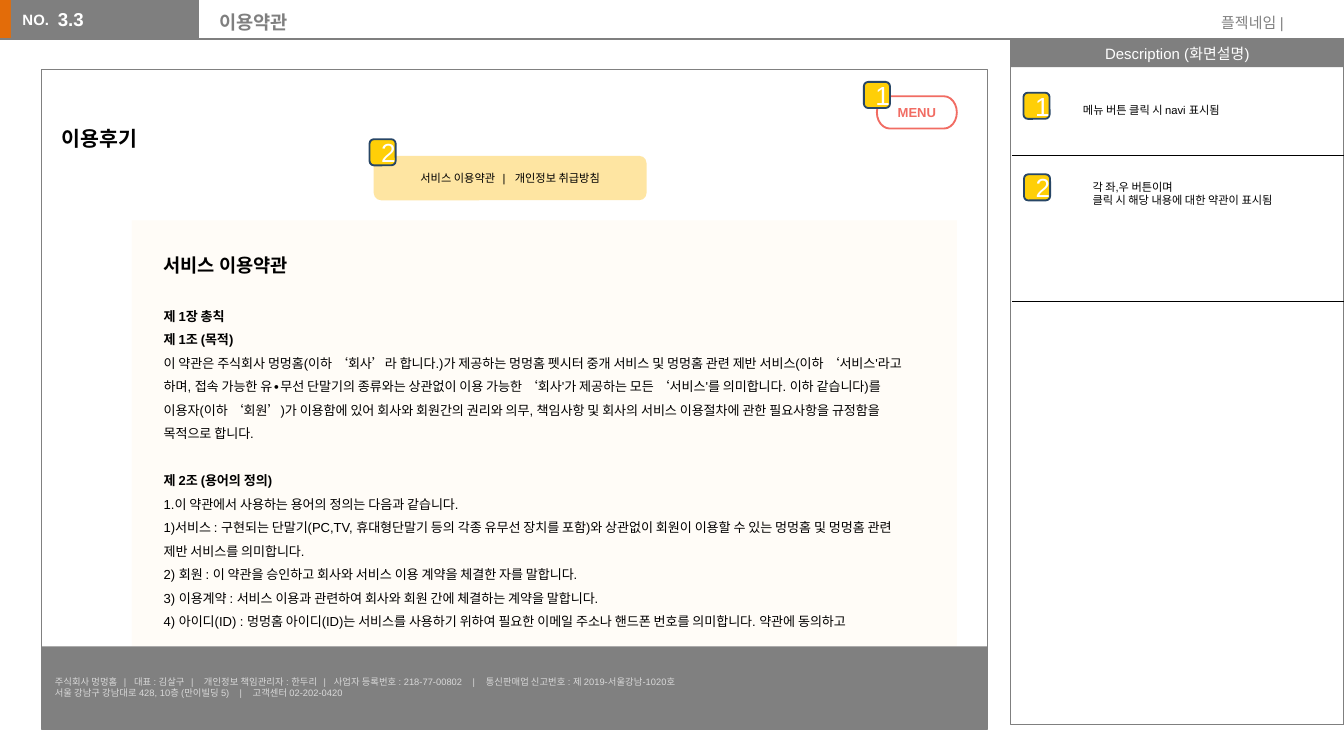
from pptx import Presentation
from pptx.dml.color import RGBColor
from pptx.enum.shapes import MSO_CONNECTOR, MSO_SHAPE
from pptx.enum.text import MSO_ANCHOR, MSO_AUTO_SIZE, PP_ALIGN
from pptx.oxml.ns import qn
from pptx.util import Pt
from lxml.etree import SubElement

GRAY, FRAME, WHITE, BLACK, CORAL = "7F7F7F", "808080", "FFFFFF", "000000", "F16C63"
LEFT, CENTER, RIGHT = PP_ALIGN.LEFT, PP_ALIGN.CENTER, PP_ALIGN.RIGHT
RECT, ROUND = MSO_SHAPE.RECTANGLE, MSO_SHAPE.ROUNDED_RECTANGLE


def color(value):
    return RGBColor.from_string(value)


def write(sp, lines, size, ink, bold=False, align=LEFT, anchor=MSO_ANCHOR.TOP,
          font="Arial", inset=(7.2, 3.6)):
    tf = sp.text_frame
    tf.word_wrap = True
    tf.auto_size = MSO_AUTO_SIZE.NONE
    tf.vertical_anchor = anchor
    tf.margin_left = tf.margin_right = Pt(inset[0])
    tf.margin_top = tf.margin_bottom = Pt(inset[1])
    for i, line in enumerate(lines):
        p = tf.paragraphs[0] if i == 0 else tf.add_paragraph()
        p.alignment = align
        r = p.add_run()
        r.text = line
        r.font.name, r.font.size, r.font.bold = font, Pt(size), bold
        r.font.color.rgb = color(ink)
    return tf


prs = Presentation()
prs.slide_width, prs.slide_height = Pt(720), Pt(405)
s = prs.slides.add_slide(prs.slide_layouts[5])

# Page title
title = s.shapes.title
title.left, title.top, title.width, title.height = Pt(110.2), Pt(-0.7), Pt(404), Pt(23)
write(title, ["이용약관"], 10, GRAY, True, font="Noto Sans CJK KR", inset=(7.2, 6.5))

# Panels, buttons and badges: preset, box, fill, line, line width, text format
badge = ("FFCF07", "274666", 1)
panels = [
    (RECT, (-0.7, 0, 8.6, 20.9), "E36C09", None, 0, None),
    (RECT, (5.8, 0, 100.8, 20.9), GRAY, None, 0, None),
    (RECT, (541.4, 20.9, 178.6, 15.1), GRAY, None, 0,
     ("Description (화면설명)", 8, WHITE, False)),
    (RECT, (541.4, 20.9, 178.6, 367.2), None, GRAY, 0.75, None),
    (RECT, (70.6, 118.1, 442.1, 228.2), "FFFCF7", None, 0, None),
    (RECT, (22.3, 346.3, 506.9, 43.9), FRAME, None, 0, None),
    (RECT, (22.3, 37.4, 506.9, 353.2), None, FRAME, 0.75, None),
    (MSO_SHAPE.FLOWCHART_TERMINATOR, (469.8, 51.6, 42.8, 17.3), WHITE, CORAL, 1,
     ("MENU", 7, CORAL, True)),
    (ROUND, (200.2, 83.5, 146.2, 23.8), "FEE5A2", None, 0,
     ("서비스 이용약관   |   개인정보 취급방침", 6, BLACK, False)),
]
for number, x, y in [("1", 462.8, 43.9), ("1", 548.3, 49.7),
                     ("2", 548.6, 93.4), ("2", 198, 74.6)]:
    panels.append((ROUND, (x, y, 14, 14), *badge, (number, 14, WHITE, False)))

for preset, box, fill, line, width, label in panels:
    sp = s.shapes.add_shape(preset, *map(Pt, box))
    sp.shadow.inherit = False
    if fill:
        sp.fill.solid()
        sp.fill.fore_color.rgb = color(fill)
    else:
        sp.fill.background()
    if line:
        sp.line.color.rgb = color(line)
        sp.line.width = Pt(width)
    else:
        sp.line.fill.background()
    if label:
        text, size, ink, bold = label
        write(sp, [text], size, ink, bold, CENTER, MSO_ANCHOR.MIDDLE)

# Header rule and description dividers
for x1, x2, y, ink, width in [(0, 551.5, 20.9, GRAY, 0.75),
                              (542.2, 720, 83.4, BLACK, 0.25),
                              (542.2, 720, 161.4, BLACK, 0.25)]:
    rule = s.shapes.add_connector(MSO_CONNECTOR.STRAIGHT, Pt(x1), Pt(y), Pt(x2), Pt(y))
    rule.line.color.rgb = color(ink)
    rule.line.width = Pt(width)
    SubElement(rule._element.spPr, qn("a:effectLst"))

# Short texts: box, lines, size, ink, further format
footer = [
    "주식회사 멍멍홈   |   대표 : 김살구   |    개인정보 책임관리자 : 한두리   |   "
    "사업자 등록번호 : 218-77-00802    |    통신판매업 신고번호 : 제 2019-서울강남-1020호",
    "서울 강남구 강남대로 428, 10층 (만이빌딩 5)    |    고객센터 02-202-0420",
]
notes = [
    ((5, 2.2, 30, 17.3), ["NO."], 8, WHITE, {"bold": True}),
    ((31, 0.7, 79.2, 22.3), ["3.3"], 10, WHITE, {"bold": True, "inset": (0, 3.6)}),
    ((643, 3.6, 51.8, 17.3), ["플젝네임 |"], 8, GRAY, {"align": RIGHT}),
    ((25.9, 64.1, 110.2, 20.9), ["이용후기"], 11, BLACK,
     {"bold": True, "font": "Noto Sans CJK KR"}),
    ((573.1, 51.8, 131.8, 14.4), ["메뉴 버튼 클릭 시 navi 표시됨"], 6, BLACK, {}),
    ((578.2, 92.9, 131.8, 21.6),
     ["각 좌,우 버튼이며", "클릭 시 해당 내용에 대한 약관이 표시됨"], 6, BLACK, {}),
    ((22.3, 346.3, 506.9, 43.9), footer, 5, "D9D9D9", {"anchor": MSO_ANCHOR.MIDDLE}),
]
for box, lines, size, ink, style in notes:
    write(s.shapes.add_textbox(*map(Pt, box)), lines, size, ink, **style)

# Terms of service
terms = [
    "서비스 이용약관",
    "제 1장 총칙",
    "제 1조 (목적) ",
    "이 약관은 주식회사 멍멍홈(이하 ‘회사’라 합니다.)가 제공하는 멍멍홈 펫시터 중개 서비스 및 "
    "멍멍홈 관련 제반 서비스(이하 ‘서비스'라고 하며, 접속 가능한 유∙무선 단말기의 종류와는 "
    "상관없이 이용 가능한 ‘회사'가 제공하는 모든 ‘서비스'를 의미합니다. 이하 같습니다)를 "
    "이용자(이하 ‘회원’)가 이용함에 있어 회사와 회원간의 권리와 의무, 책임사항 및 회사의 "
    "서비스 이용절차에 관한 필요사항을 규정함을 목적으로 합니다.",
    "제 2조 (용어의 정의) ",
    "1.이 약관에서 사용하는 용어의 정의는 다음과 같습니다. ",
    "1)서비스 : 구현되는 단말기(PC,TV, 휴대형단말기 등의 각종 유무선 장치를 포함)와 상관없이 "
    "회원이 이용할 수 있는 멍멍홈 및 멍멍홈 관련 제반 서비스를 의미합니다.",
    "2) 회원 : 이 약관을 승인하고 회사와 서비스 이용 계약을 체결한 자를 말합니다.",
    "3) 이용계약 : 서비스 이용과 관련하여 회사와 회원 간에 체결하는 계약을 말합니다.",
    "4) 아이디(ID) : 멍멍홈 아이디(ID)는 서비스를 사용하기 위하여 필요한 이메일 주소나 "
    "핸드폰 번호를 의미합니다. 약관에 동의하고",
]
tf = write(s.shapes.add_textbox(Pt(80.6), Pt(126.7), Pt(418.3), Pt(216)), terms, 7, BLACK)
for i, p in enumerate(tf.paragraphs):
    p.line_spacing = 1.5
    p.runs[0].font.bold = i in (0, 1, 2, 4)
    if i in (1, 4):
        p.space_before = Pt(12.6)
tf.paragraphs[0].runs[0].font.size = Pt(10)

prs.save("out.pptx")
